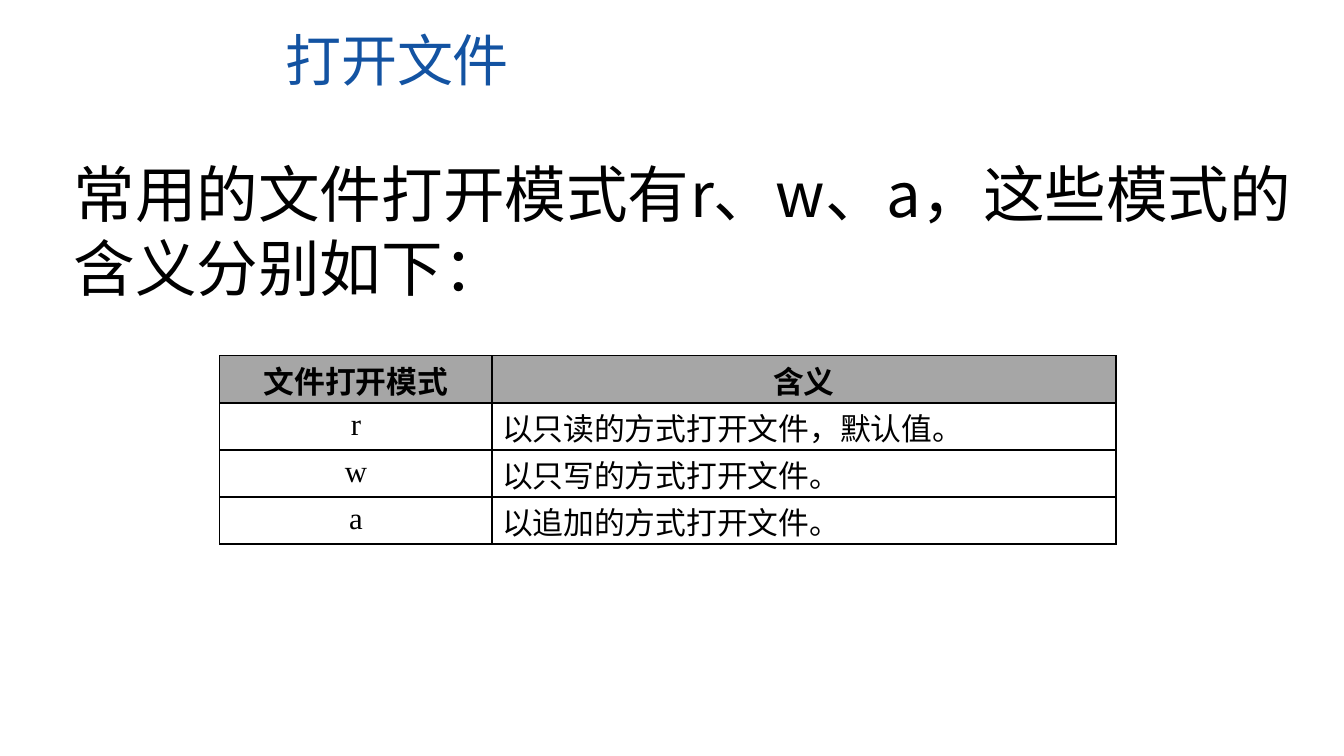
from lxml import etree
from pptx import Presentation
from pptx.dml.color import RGBColor
from pptx.enum import text
from pptx.oxml import ns
from pptx.util import Pt

SANS = "Noto Sans CJK SC"
SERIF = "Times New Roman"


def color(value):
    return RGBColor.from_string(value)


def write(frame, words, size, fill="000000", font=SANS, bold=False,
          align=text.PP_ALIGN.LEFT, spacing=1.0):
    paragraph = frame.paragraphs[0]
    paragraph.alignment = align
    paragraph.line_spacing = spacing
    run = paragraph.add_run()
    run.text = words
    run.font.size = Pt(size)
    run.font.bold = bold
    run.font.color.rgb = color(fill)
    run.font.name = font
    east_asian = etree.SubElement(run.font._element, ns.qn("a:ea"))
    east_asian.set("typeface", font)


class SlideBuilder:
    title_color = "1353A2"
    header_fill = "A6A6A6"
    border = "000000"

    def __init__(self, slide):
        self.slide = slide

    def text_box(self, left, top, width, height, words, size, inset=3.6, **style):
        box = self.slide.shapes.add_textbox(Pt(left), Pt(top), Pt(width), Pt(height))
        frame = box.text_frame
        frame.word_wrap = True
        frame.margin_top = Pt(inset)
        write(frame, words, size, **style)

    def outline(self, cell):
        properties = cell._tc.get_or_add_tcPr()
        for position, side in enumerate(("lnL", "lnR", "lnT", "lnB")):
            line = etree.Element(ns.qn(f"a:{side}"), w=str(Pt(1)))
            solid = etree.SubElement(line, ns.qn("a:solidFill"))
            etree.SubElement(solid, ns.qn("a:srgbClr"), val=self.border)
            properties.insert(position, line)

    def table(self, left, top, widths, row_height, rows, size):
        frame = self.slide.shapes.add_table(
            len(rows), len(widths), Pt(left), Pt(top),
            Pt(sum(widths)), Pt(row_height * len(rows)))
        grid = frame.table
        grid.first_row = grid.horz_banding = False
        for column, width in zip(grid.columns, widths):
            column.width = Pt(width)
        for r, row in enumerate(rows):
            grid.rows[r].height = Pt(row_height)
            for c, words in enumerate(row):
                cell = grid.cell(r, c)
                header = r == 0
                mode = c == 0 and not header
                cell.margin_top = Pt(3.6 if mode else 1.7)
                cell.margin_bottom = 0
                if header:
                    cell.fill.solid()
                    cell.fill.fore_color.rgb = color(self.header_fill)
                else:
                    cell.fill.background()
                self.outline(cell)
                centered = header or mode
                write(cell.text_frame, words, size, bold=header,
                      font=SERIF if mode else SANS,
                      align=text.PP_ALIGN.CENTER if centered else text.PP_ALIGN.LEFT)


def main():
    deck = Presentation()
    deck.slide_width, deck.slide_height = Pt(960), Pt(540)
    page = SlideBuilder(deck.slides.add_slide(deck.slide_layouts[6]))
    page.text_box(196.6, 20.9, 423.4, 55.4, "打开文件", 40,
                  fill=page.title_color, spacing=0.89)
    page.text_box(45.4, 103.7, 884.9, 135.4,
                  "常用的文件打开模式有r、w、a，这些模式的含义分别如下：", 44, inset=7.6)
    modes = [
        ("文件打开模式", "含义"),
        ("r", "以只读的方式打开文件，默认值。"),
        ("w", "以只写的方式打开文件。"),
        ("a", "以追加的方式打开文件。"),
    ]
    page.table(157, 254.2, (194.4, 445.7), 33.6, modes, 22)
    deck.save("out.pptx")


if __name__ == "__main__":
    main()
